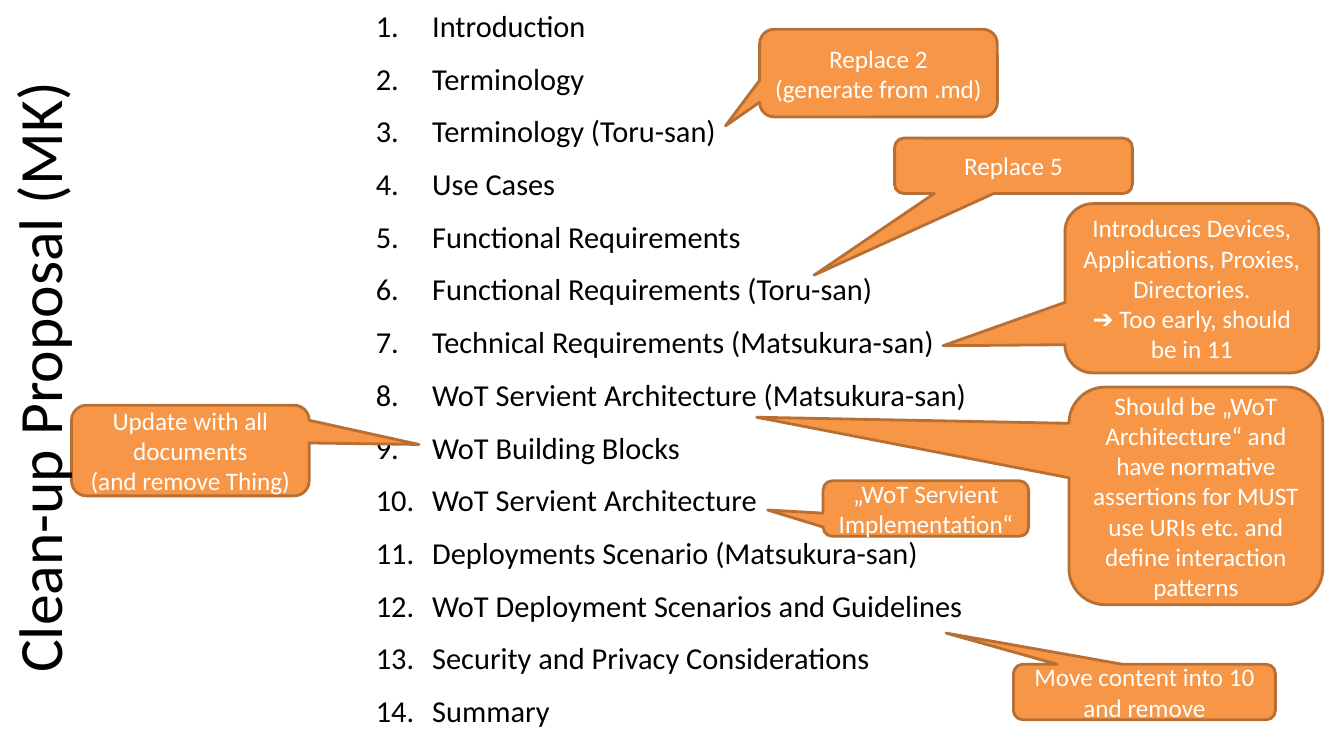
from lxml.etree import SubElement
from pptx import Presentation
from pptx.dml.color import RGBColor
from pptx.enum.shapes import MSO_SHAPE
from pptx.enum.text import MSO_ANCHOR, PP_ALIGN
from pptx.oxml.ns import qn
from pptx.util import Inches, Pt

FONT = "Calibri"
COLORS = {"text": "000000", "callout": "F79646", "outline": "B76F34", "note": "FFFFFF"}

TITLE = "Clean-up Proposal (MK)"
CHAPTERS = [
    "Introduction",
    "Terminology",
    "Terminology (Toru-san)",
    "Use Cases",
    "Functional Requirements",
    "Functional Requirements (Toru-san)",
    "Technical Requirements (Matsukura-san)",
    "WoT Servient Architecture (Matsukura-san)",
    "WoT Building Blocks",
    "WoT Servient Architecture",
    "Deployments Scenario (Matsukura-san)",
    "WoT Deployment Scenarios and Guidelines",
    "Security and Privacy Considerations",
    "Summary",
]
# Note text, box (left, top, width, height), point the tail reaches
NOTES = [
    ("Replace 2\n(generate from .md)", (7.54, 0.29, 2.36, 0.87), (7.2, 1.25)),
    ("Replace 5", (8.88, 1.37, 2.36, 0.55), (8.08, 2.73)),
    ("Introduces Devices, Applications, Proxies, Directories.\n➔ Too early, should be in 11",
     (10.57, 2.02, 2.52, 1.68), (9.36, 3.43)),
    ("Should be „WoT Architecture“ and have normative assertions for MUST use URIs etc. "
     "and define interaction patterns", (10.61, 3.84, 2.52, 2.16), (7.51, 4.14)),
    ("Move content into 10 and remove", (10.06, 6.59, 2.6, 0.55), (9.39, 6.28)),
    ("Update with all documents\n(and remove Thing)", (0.71, 4.02, 2.36, 0.9), (4.16, 4.41)),
    ("„WoT Servient Implementation“", (8.17, 4.77, 2.04, 0.55), (7.62, 5.06)),
]


def color(name):
    return RGBColor.from_string(COLORS[name])


def write(shape, text, size, color_name, align, anchor, insets=(0.1, 0.05)):
    frame = shape.text_frame
    frame.word_wrap = True
    frame.vertical_anchor = anchor
    frame.margin_left = frame.margin_right = Inches(insets[0])
    frame.margin_top = frame.margin_bottom = Inches(insets[1])
    frame.text = text
    for paragraph in frame.paragraphs:
        paragraph.alignment = align
        paragraph.font.name = FONT
        paragraph.font.size = Pt(size)
        paragraph.font.color.rgb = color(color_name)
    return frame.paragraphs


def number(paragraph, indent):
    properties = paragraph._p.get_or_add_pPr()
    properties.set("marL", str(Inches(indent)))
    properties.set("indent", str(-Inches(indent)))
    # Numbering precedes the default run properties
    numbering = SubElement(properties, qn("a:buAutoNum"), type="arabicPeriod")
    properties.find(qn("a:defRPr")).addprevious(numbering)


def add_note(shapes, text, box, tip):
    left, top, width, height = box
    callout = shapes.add_shape(MSO_SHAPE.ROUNDED_RECTANGULAR_CALLOUT, *map(Inches, box))
    # The tail is measured from the box centre, as a share of its size
    callout.adjustments[0] = (tip[0] - left - width / 2) / width
    callout.adjustments[1] = (tip[1] - top - height / 2) / height
    callout.shadow.inherit = False
    callout.fill.solid()
    callout.fill.fore_color.rgb = color("callout")
    callout.line.color.rgb = color("outline")
    callout.line.width = Pt(2)
    write(callout, text, 18, "note", PP_ALIGN.CENTER, MSO_ANCHOR.MIDDLE)


def main():
    deck = Presentation()
    deck.slide_width, deck.slide_height = Inches(13.34), Inches(7.5)
    shapes = deck.slides.add_slide(deck.slide_layouts[6]).shapes

    # Numbered chapters
    outline = shapes.add_textbox(Inches(3.6), 0, Inches(7.01), Inches(7.5))
    for chapter in write(outline, "\n".join(CHAPTERS), 21.7, "text",
                         PP_ALIGN.LEFT, MSO_ANCHOR.TOP, (0.13, 0.07)):
        chapter.space_after = Pt(11.6)
        number(chapter, 0.56)

    # Review notes
    for note in NOTES:
        add_note(shapes, *note)

    # Title along the left edge
    title = shapes.add_textbox(Inches(-3.37), Inches(3.37), Inches(7.5), Inches(0.75))
    title.rotation = 270
    write(title, TITLE, 44, "text", PP_ALIGN.CENTER, MSO_ANCHOR.MIDDLE, (0.13, 0.07))

    deck.save("out.pptx")


if __name__ == "__main__":
    main()
